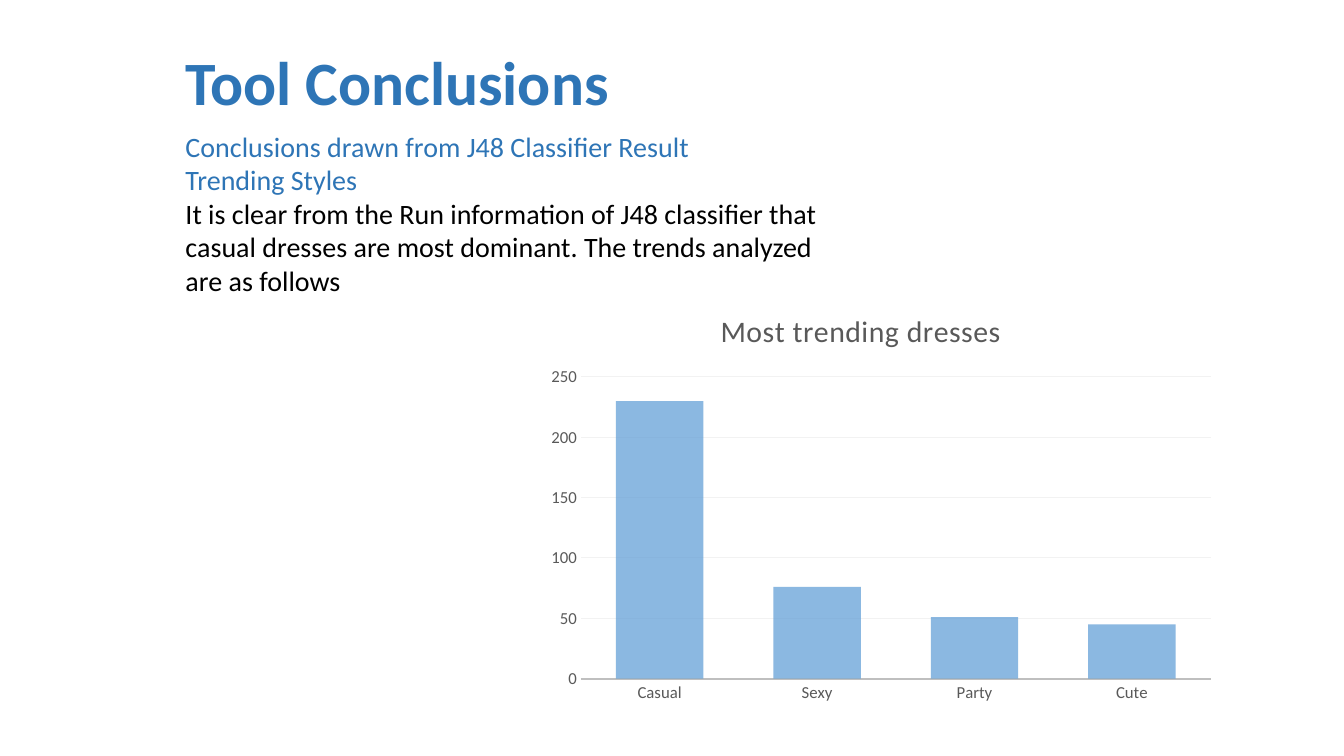
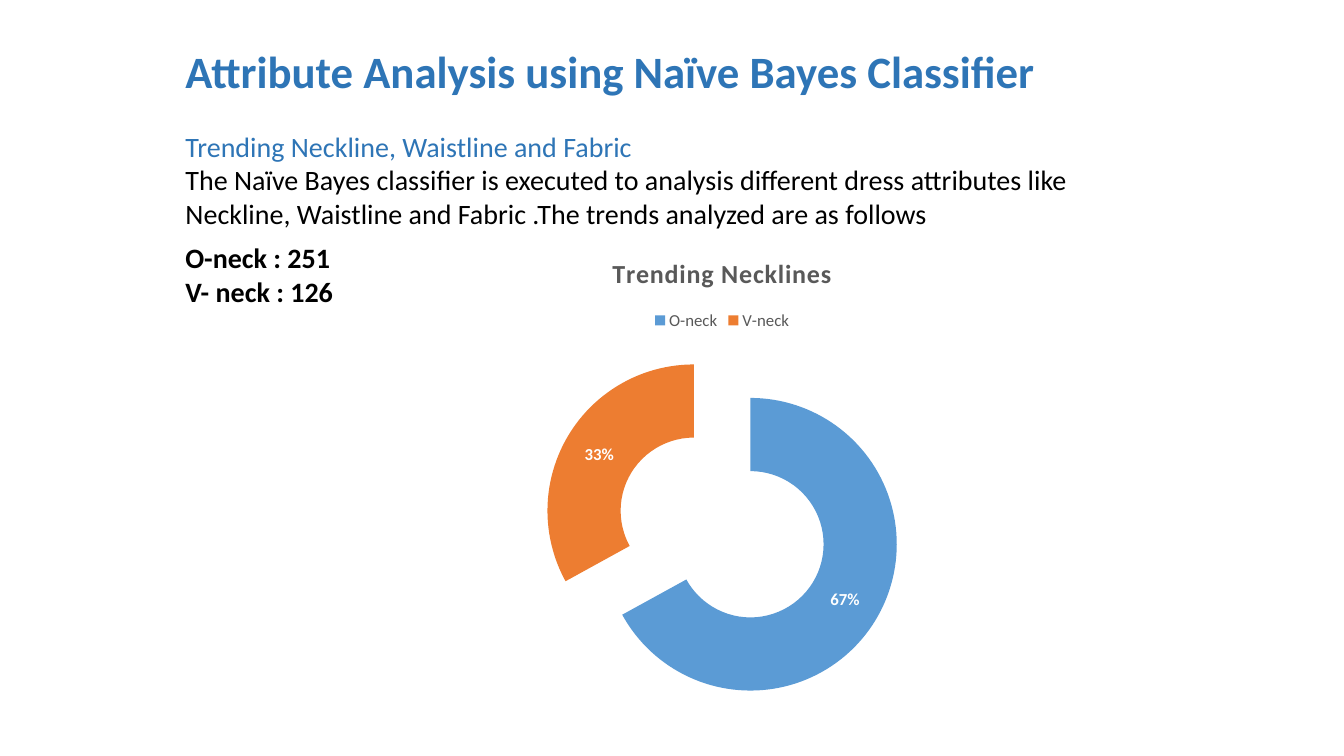
from lxml.etree import SubElement
from pptx import Presentation
from pptx.chart.data import CategoryChartData
from pptx.dml.color import RGBColor
from pptx.enum.chart import XL_CHART_TYPE as ChartType, XL_LEGEND_POSITION as LegendPosition
from pptx.enum.chart import XL_TICK_MARK as TickMark
from pptx.enum.text import MSO_ANCHOR, MSO_AUTO_SIZE, PP_ALIGN
from pptx.oxml import parse_xml
from pptx.oxml.ns import nsdecls, qn
from pptx.util import Pt

FONT = "Calibri"
COLORS = {
    "heading": "2E75B6", "text": "000000", "chart_text": "595959", "white": "FFFFFF",
    "axis": "BFBFBF", "grid": "F2F2F2", "blue": "5B9BD5", "orange": "ED7D31",
}
LEFT, TITLE_TOP, BODY_TOP = 125.3, 27.4, 88.6
TITLE_SPACING = 50  # hundredths of a point between letters

# Body lines are (text, colour, bold); boxes are (left, top, width, height) in points.
SLIDES = [
    {
        "title": ("Tool Conclusions", 44, (357, 60.5)),
        "body": [
            ("Conclusions drawn from J48 Classifier Result", "heading", False),
            ("Trending Styles", "heading", False),
            ("It is clear from the Run information of J48 classifier that casual dresses "
             "are most dominant. The trends analyzed are as follows", "text", False),
        ],
        "body_size": (480.2, 157.7),
        "chart": {
            "kind": ChartType.COLUMN_CLUSTERED,
            "box": (365, 208.1, 500.4, 321.8),
            "title": ("Most trending dresses", 21.3, False),
            "series": "Series 1",
            "values": {"Casual": 230, "Sexy": 76, "Party": 51, "Cute": 45},
        },
    },
    {
        "title": ("Attribute Analysis using Naïve Bayes Classifier", 32, (656.6, 46)),
        "body": [
            ("Trending Neckline, Waistline and Fabric", "heading", False),
            ("The Naïve Bayes classifier is executed to analysis different dress attributes "
             "like Neckline, Waistline and Fabric .The trends analyzed are as follows",
             "text", False),
        ],
        "body_size": (707, 80),
        "chart": {
            "kind": ChartType.DOUGHNUT,
            "box": (249.8, 168.5, 532.1, 346.3),
            "title": ("Trending Necklines", 18.6, True),
            "series": "Trending Necklines",
            "values": {"O-neck": 67, "V-neck": 33},
        },
        "counts": [("O-neck : 251", "text", True), ("V- neck : 126", "text", True)],
        "counts_box": (LEFT, 168.5, 175, 55.7),
    },
]


def rgb(name):
    return RGBColor.from_string(COLORS[name])


def style_font(font, size, color, bold=False):
    for attribute, value in {"name": FONT, "size": Pt(size), "bold": bold}.items():
        setattr(font, attribute, value)
    font.color.rgb = rgb(color)


def place(shape, box):
    for side, value in zip(("left", "top", "width", "height"), box):
        setattr(shape, side, Pt(value))


def write_lines(frame, lines, size, wrap=True):
    """Fill a text frame with plain, left-aligned lines without bullets or gaps."""
    layout = {"word_wrap": wrap, "auto_size": MSO_AUTO_SIZE.NONE,
              "vertical_anchor": MSO_ANCHOR.TOP}
    for attribute, value in layout.items():
        setattr(frame, attribute, value)
    for index, (text, color, bold) in enumerate(lines):
        paragraph = frame.add_paragraph() if index else frame.paragraphs[0]
        paragraph.alignment = PP_ALIGN.LEFT
        paragraph.space_before = Pt(0)
        properties = paragraph._p.get_or_add_pPr()
        properties.set("marL", "0")
        properties.set("indent", "0")
        SubElement(properties, qn("a:buNone"))
        run = paragraph.add_run()
        run.text = text
        style_font(run.font, size, color, bold)


def set_plot_area(chart, **fractions):
    """Fix the inner plot area as fractions of the chart."""
    area = chart._chartSpace.chart.plotArea
    for layout in area.findall(qn("c:layout")):
        area.remove(layout)
    sizes = "".join(f'<c:{key} val="{value}"/>' for key, value in fractions.items())
    area.insert(0, parse_xml(
        f'<c:layout {nsdecls("c")}><c:manualLayout><c:layoutTarget val="inner"/>'
        f'<c:xMode val="edge"/><c:yMode val="edge"/>{sizes}</c:manualLayout></c:layout>'))


def style_columns(chart):
    chart.has_legend = False
    set_plot_area(chart, x=0.1, y=0.19, w=0.9, h=0.67)
    plot = chart.plots[0]
    plot.gap_width, plot.overlap, plot.vary_by_categories = 80, 25, False
    fill = plot.series[0].format.fill
    fill.solid()
    fill.fore_color.rgb = rgb("blue")
    color = plot.series[0]._element.find(f'.//{qn("a:srgbClr")}')
    SubElement(color, qn("a:alpha")).set("val", "70000")

    for axis in (chart.category_axis, chart.value_axis):
        axis.major_tick_mark = axis.minor_tick_mark = TickMark.NONE
        style_font(axis.tick_labels.font, 12, "chart_text")
    chart.value_axis.minimum_scale, chart.value_axis.maximum_scale = 0, 250
    chart.value_axis.major_unit = 50
    chart.value_axis.format.line.fill.background()
    lines = ((chart.category_axis.format.line, "axis", 1.25),
             (chart.value_axis.major_gridlines.format.line, "grid", 0.75))
    for line, color, width in lines:
        line.color.rgb = rgb(color)
        line.width = Pt(width)


def style_doughnut(chart):
    chart.has_legend = True
    chart.legend.position = LegendPosition.TOP
    chart.legend.include_in_layout = False
    style_font(chart.legend.font, 12, "chart_text")
    plot = chart.plots[0]
    plot.vary_by_categories = True
    for index, color in enumerate(("blue", "orange")):
        fill = plot.series[0].points[index].format.fill
        fill.solid()
        fill.fore_color.rgb = rgb(color)
    for point in plot.series[0]._element.findall(qn("c:dPt")):
        point.find(qn("c:spPr")).addprevious(
            parse_xml(f'<c:explosion {nsdecls("c")} val="45"/>'))
    plot.has_data_labels = True
    labels = plot.data_labels
    options = {"show_percentage": True, "show_value": False, "show_category_name": False,
               "show_legend_key": False, "number_format": "0%",
               "number_format_is_linked": False}
    for attribute, value in options.items():
        setattr(labels, attribute, value)
    style_font(labels.font, 12, "white", True)


STYLES = {ChartType.COLUMN_CLUSTERED: style_columns, ChartType.DOUGHNUT: style_doughnut}


def add_chart(slide, content):
    data = CategoryChartData()
    data.categories = list(content["values"])
    data.add_series(content["series"], list(content["values"].values()))
    box = [Pt(value) for value in content["box"]]
    chart = slide.shapes.add_chart(content["kind"], *box, data).chart
    style_font(chart.font, 10, "text")
    text, size, bold = content["title"]
    chart.has_title = True
    chart.chart_title.include_in_layout = False
    run = chart.chart_title.text_frame.paragraphs[0].add_run()
    run.text = text
    style_font(run.font, size, "chart_text", bold)
    run._r.get_or_add_rPr().set("spc", str(TITLE_SPACING))
    STYLES[content["kind"]](chart)


def build_slide(deck, content):
    slide = deck.slides.add_slide(deck.slide_layouts[1])
    title, size, title_size = content["title"]
    place(slide.shapes.title, (LEFT, TITLE_TOP, *title_size))
    write_lines(slide.shapes.title.text_frame, [(title, "heading", True)], size, wrap=False)
    body = slide.placeholders[1]
    place(body, (LEFT, BODY_TOP, *content["body_size"]))
    write_lines(body.text_frame, content["body"], 20)
    add_chart(slide, content["chart"])
    if "counts" in content:
        counts = slide.shapes.add_textbox(*(Pt(value) for value in content["counts_box"]))
        write_lines(counts.text_frame, content["counts"], 20)


def main():
    deck = Presentation()
    deck.slide_width, deck.slide_height = Pt(960), Pt(540)
    for content in SLIDES:
        build_slide(deck, content)
    deck.save("out.pptx")


if __name__ == "__main__":
    main()
